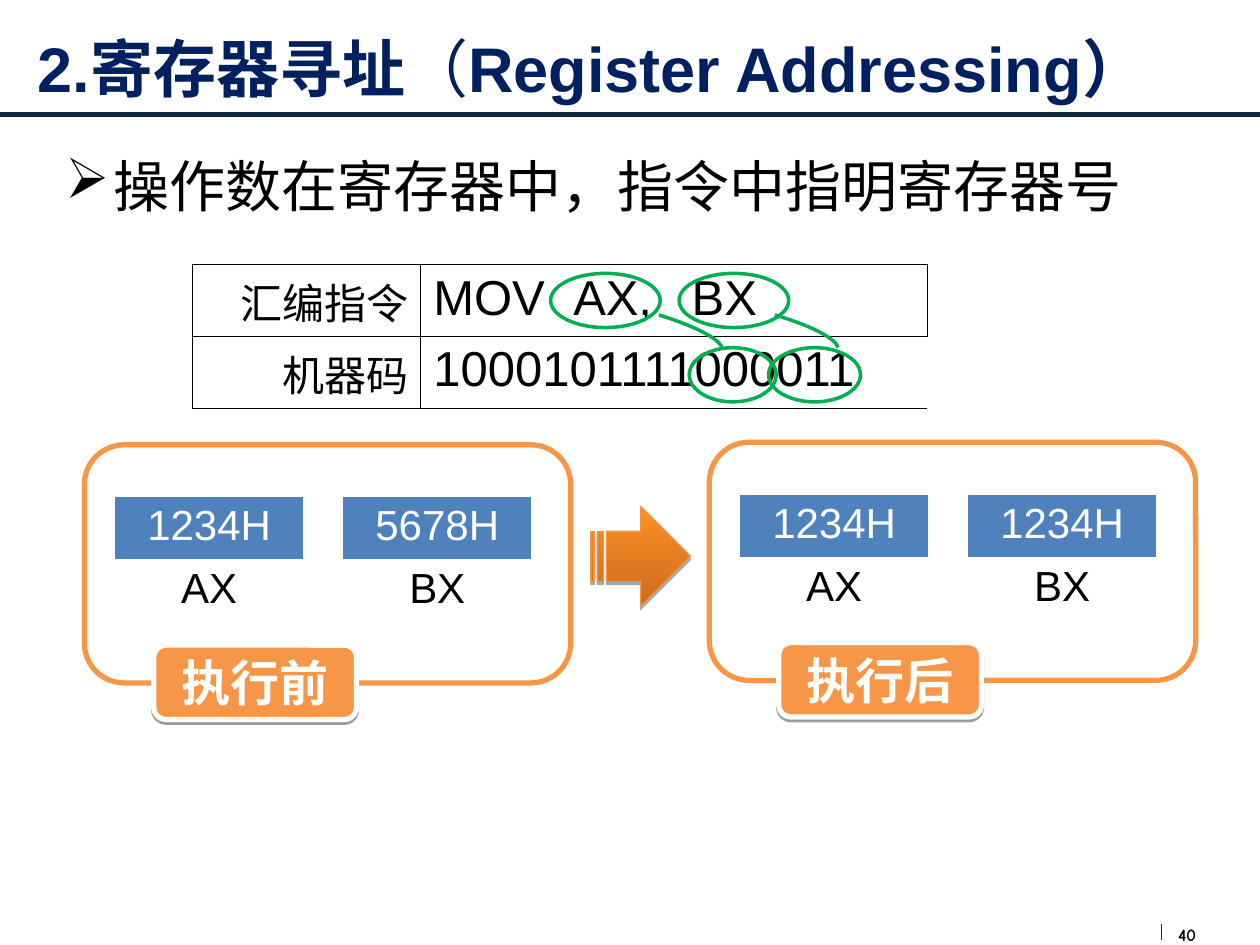
"""Build the register addressing slide."""
from dataclasses import dataclass

import lxml.etree
import pptx
import pptx.dml.color
import pptx.enum.shapes
import pptx.enum.text
import pptx.oxml.ns
import pptx.util

Inches, Pt = pptx.util.Inches, pptx.util.Pt
SHAPES = pptx.enum.shapes.MSO_SHAPE
ALIGN = pptx.enum.text.PP_ALIGN
ANCHOR = pptx.enum.text.MSO_ANCHOR
qn = pptx.oxml.ns.qn
COLORS = {
    "rule": "10253F", "mark": "172F37", "title": "002060", "text": "000000",
    "white": "FFFFFF", "register": "4F81BD", "state": "F79646",
    "link": "00B050", "arrow_dark": "CB6C1D", "arrow_light": "FF8F26",
    "arrow_line": "F69240",
}


@dataclass
class Box:
    left: float
    top: float
    width: float
    height: float

    def lengths(self) -> tuple:
        return tuple(Inches(v) for v in (self.left, self.top, self.width, self.height))


@dataclass
class State:
    left: float
    top: float
    caption: str
    registers: dict


@dataclass
class Operand:
    name_box: Box
    code_box: Box
    curve: list


def rgb(name: str):
    return pptx.dml.color.RGBColor.from_string(COLORS[name])


def add_run(paragraph, text: str, size: float, color: str = "text",
            bold: bool = False, font: str = "Arial") -> None:
    run = paragraph.add_run()
    run.text = text
    run.font.name, run.font.size, run.font.bold = font, Pt(size), bold
    run.font.color.rgb = rgb(color)
    east_asian = lxml.etree.SubElement(run.font._element, qn("a:ea"))
    east_asian.set("typeface", "Noto Sans CJK SC")


def set_line(shape, color: str, width: float) -> None:
    shape.line.color.rgb = rgb(color)
    shape.line.width = Pt(width)


def add_line(slide, start: tuple, end: tuple, color: str, width: float) -> None:
    points = [Inches(v) for v in (*start, *end)]
    line = slide.shapes.add_connector(pptx.enum.shapes.MSO_CONNECTOR.STRAIGHT, *points)
    set_line(line, color, width)
    lxml.etree.SubElement(line._element.spPr, qn("a:effectLst"))


def add_outline(slide, kind, box: Box, color: str, width: float):
    shape = slide.shapes.add_shape(kind, *box.lengths())
    shape.shadow.inherit = False
    shape.fill.background()
    set_line(shape, color, width)
    return shape


def add_shadow(shape, distance: float, opacity: int) -> None:
    effects = shape._element.spPr.find(qn("a:effectLst"))
    shadow = lxml.etree.SubElement(
        effects, qn("a:outerShdw"), blurRad="0", dist=str(Pt(distance)),
        dir="5400000", rotWithShape="0")
    color = lxml.etree.SubElement(shadow, qn("a:srgbClr"), val=COLORS["text"])
    lxml.etree.SubElement(color, qn("a:alpha"), val=str(opacity * 1000))


def set_borders(cell, color: str, sides: str = "LRTB") -> None:
    properties = cell._tc.get_or_add_tcPr()
    for index, side in enumerate("LRTB"):
        border = lxml.etree.Element(qn(f"a:ln{side}"), w=str(Pt(0.45)))
        if side in sides:
            fill = lxml.etree.SubElement(border, qn("a:solidFill"))
            lxml.etree.SubElement(fill, qn("a:srgbClr"), val=COLORS[color])
        else:
            lxml.etree.SubElement(border, qn("a:noFill"))
        properties.insert(index, border)


def add_table(slide, left: float, top: float, widths: list, heights: list):
    box = Box(left, top, sum(widths), sum(heights))
    table = slide.shapes.add_table(len(heights), len(widths), *box.lengths()).table
    table.first_row = table.horz_banding = False
    for column, width in zip(table.columns, widths):
        column.width = Inches(width)
    for row, height in zip(table.rows, heights):
        row.height = Inches(height)
    for cell in table.iter_cells():
        cell.fill.background()
    return table


def write_cell(cell, text: str, size: float, align, color: str = "text") -> None:
    paragraph = cell.text_frame.paragraphs[0]
    paragraph.alignment = align
    add_run(paragraph, text, size, color)


def add_instruction_table(slide) -> None:
    table = add_table(slide, 1.53, 2.1, [1.81, 1.11, 0.94, 1.97], [0.57, 0.57])
    rows = [["汇编指令", "MOV", "AX,", "BX"], ["机器码", "1000101111000011"]]
    table.cell(1, 1).merge(table.cell(1, 3))
    for row, texts in enumerate(rows):
        for column, text in enumerate(texts):
            size, align = (28, ALIGN.LEFT) if column else (24, ALIGN.RIGHT)
            write_cell(table.cell(row, column), text, size, align)
        for column, sides in enumerate(["LRTB", "LTB", "TB", "RTB"]):
            set_borders(table.cell(row, column), "text", sides)


def add_register(slide, left: float, top: float, name: str, value: str) -> None:
    table = add_table(slide, left, top, [1.5], [0.5, 0.5])
    value_cell, name_cell = table.iter_cells()
    value_cell.fill.solid()
    value_cell.fill.fore_color.rgb = rgb("register")
    write_cell(value_cell, value, 24, ALIGN.CENTER, "white")
    write_cell(name_cell, name, 24, ALIGN.CENTER)
    for cell in (value_cell, name_cell):
        set_borders(cell, "white")


def add_state(slide, state: State) -> None:
    for index, (name, value) in enumerate(state.registers.items()):
        add_register(slide, state.left + 0.24 + 1.81 * index, state.top + 0.41, name, value)
    frame = Box(state.left, state.top, 3.86, 1.89)
    add_outline(slide, SHAPES.ROUNDED_RECTANGLE, frame, "state", 3)
    badge_box = Box(state.left + 0.55, state.top + 1.59, 1.61, 0.59)
    badge = add_outline(slide, SHAPES.ROUNDED_RECTANGLE, badge_box, "white", 3)
    badge.fill.solid()
    badge.fill.fore_color.rgb = rgb("state")
    add_shadow(badge, 1.6, 38)
    badge.text_frame.vertical_anchor = ANCHOR.MIDDLE
    paragraph = badge.text_frame.paragraphs[0]
    paragraph.alignment = ALIGN.CENTER
    add_run(paragraph, state.caption, 28, "white", True, "Noto Sans CJK SC")


def add_arrow(slide) -> None:
    box = Box(4.69, 4.02, 0.79, 0.79)
    arrow = add_outline(slide, SHAPES.STRIPED_RIGHT_ARROW, box, "arrow_line", 0.75)
    arrow.fill.gradient()
    arrow.fill.gradient_angle = 90
    for index, name in enumerate(["arrow_dark", "arrow_light"]):
        stop = arrow.fill.gradient_stops[index]
        stop.position = index
        stop.color.rgb = rgb(name)
    add_shadow(arrow, 1.8, 35)


def bezier(points: list, t: float) -> tuple:
    weights = [(1 - t) ** 3, 3 * t * (1 - t) ** 2, 3 * t * t * (1 - t), t ** 3]
    return tuple(Inches(sum(w * p[axis] for w, p in zip(weights, points))) for axis in (0, 1))


def add_operand(slide, operand: Operand) -> None:
    for box in (operand.name_box, operand.code_box):
        add_outline(slide, SHAPES.OVAL, box, "link", 2)
    start, *rest = [bezier(operand.curve, step / 16) for step in range(17)]
    builder = slide.shapes.build_freeform(*start)
    builder.add_line_segments(rest, close=False)
    curve = builder.convert_to_shape()
    curve.shadow.inherit = False
    curve.fill.background()
    set_line(curve, "link", 2)


def add_title(slide) -> None:
    title = slide.shapes.title
    title.left, title.top, title.width, title.height = Box(0.2, 0, 9.53, 1.07).lengths()
    title.text_frame.auto_size = pptx.enum.text.MSO_AUTO_SIZE.NONE
    title.text_frame.vertical_anchor = ANCHOR.MIDDLE
    paragraph = title.text_frame.paragraphs[0]
    paragraph.alignment = ALIGN.LEFT
    for text, bold in [("2.寄存器寻址", True), ("（", False), ("Register Addressing）", True)]:
        add_run(paragraph, text, 36, "title", bold)


def add_body(slide) -> None:
    frame = slide.shapes.add_textbox(*Box(0.42, 1.15, 9.17, 5.83).lengths()).text_frame
    frame.word_wrap = True
    paragraph = frame.paragraphs[0]
    paragraph.alignment = ALIGN.JUSTIFY
    properties = paragraph._p.get_or_add_pPr()
    properties.set("marL", str(Inches(0.38)))
    properties.set("indent", str(-Inches(0.38)))
    lxml.etree.SubElement(properties, qn("a:buChar"), char="➢")
    add_run(paragraph, "操作数在寄存器中，指令中指明寄存器号", 32)


def add_page_number(slide) -> None:
    frame = slide.shapes.add_textbox(*Box(9.35, 7.33, 0.34, 0.17).lengths()).text_frame
    frame.margin_left = frame.margin_right = frame.margin_top = frame.margin_bottom = 0
    frame.word_wrap = True
    add_run(frame.paragraphs[0], "40", 10, bold=True, font="Comic Neue")


def main() -> None:
    presentation = pptx.Presentation()
    presentation.slide_width, presentation.slide_height = Inches(10), Inches(7.5)
    slide = presentation.slides.add_slide(presentation.slide_layouts[5])
    add_line(slide, (0, 0.91), (10, 0.91), "rule", 3)
    add_page_number(slide)
    add_line(slide, (9.22, 7.33), (9.22, 7.46), "mark", 0.75)
    add_title(slide)
    add_body(slide)
    add_instruction_table(slide)
    add_state(slide, State(0.67, 3.53, "执行前", {"AX": "1234H", "BX": "5678H"}))
    add_state(slide, State(5.63, 3.51, "执行后", {"AX": "1234H", "BX": "1234H"}))
    add_arrow(slide)
    add_operand(slide, Operand(Box(4.37, 2.17, 0.87, 0.43), Box(5.47, 2.76, 0.69, 0.43),
                               [(5.23, 2.5), (5.52, 2.59), (5.71, 2.69), (5.73, 2.76)]))
    add_operand(slide, Operand(Box(5.39, 2.17, 0.87, 0.43), Box(6.1, 2.76, 0.73, 0.43),
                               [(6.15, 2.5), (6.45, 2.59), (6.64, 2.69), (6.65, 2.76)]))
    presentation.save("out.pptx")


if __name__ == "__main__":
    main()
